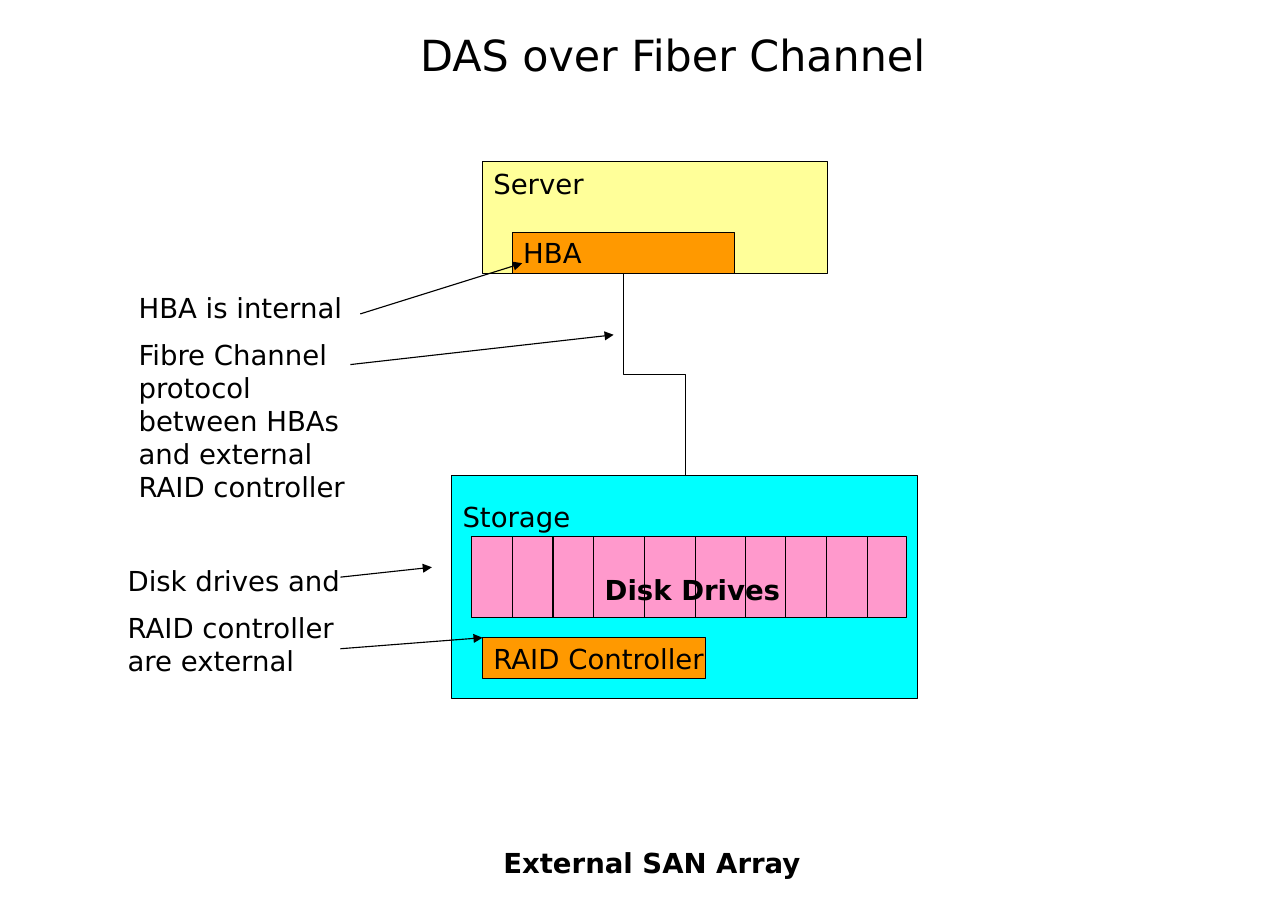
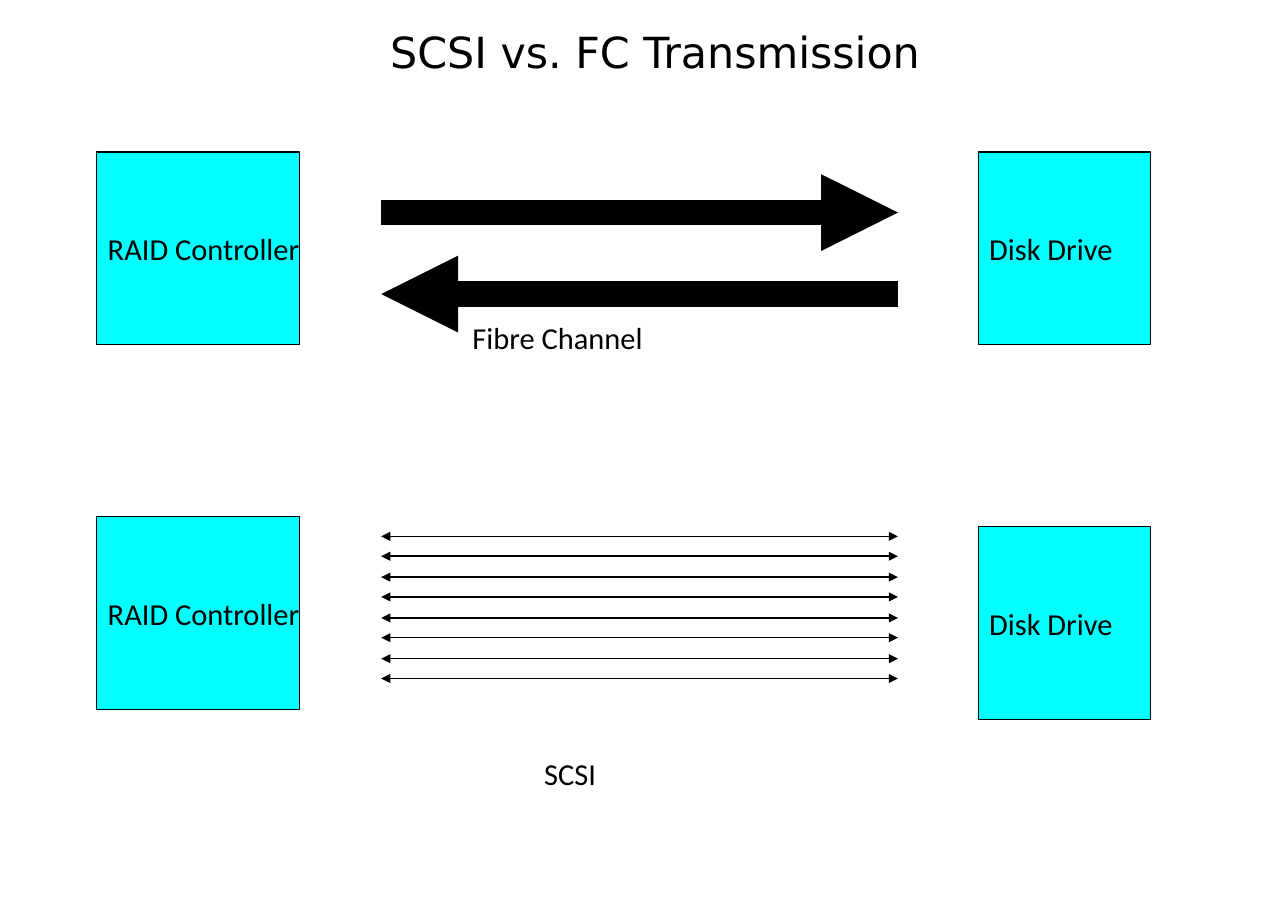
import itertools
from dataclasses import dataclass

import pptx
import pptx.dml.color
import pptx.enum.shapes
import pptx.enum.text
import pptx.oxml.ns
import pptx.util
from lxml import etree


@dataclass(frozen=True)
class Theme:
    ink: str = "000000"
    server: str = "FFFF99"
    controller: str = "FF9900"
    storage: str = "00FFFF"
    disks: str = "FF99CC"
    sans: str = "DejaVu Sans"
    label_font: str = "Calibri"
    title_size: float = 28
    body_size: float = 18
    label_size: float = 19.9
    thin: float = 0.75
    cable: float = 1
    fibre: float = 16.75
    paragraph_gap: float = 9


THEME = Theme()
PX = 9144  # 100 px to the inch
qn = pptx.oxml.ns.qn
Pt = pptx.util.Pt
rgb = pptx.dml.color.RGBColor.from_string
Anchor = pptx.enum.text.MSO_ANCHOR
Connector = pptx.enum.shapes.MSO_CONNECTOR


def add_box(shapes, at, text="", fill=None, size=THEME.body_size, font=THEME.sans,
            bold=False, anchor=None, inset_top=5, title=False):
    """Filled block when a fill is given, otherwise a wrapping text box."""
    place = [v * PX for v in at]
    if fill:
        box = shapes.add_shape(pptx.enum.shapes.MSO_SHAPE.RECTANGLE, *place)
        box.shadow.inherit = False
        box.fill.solid()
        box.fill.fore_color.rgb = rgb(fill)
        box.line.color.rgb = rgb(THEME.ink)
        box.line.width = Pt(THEME.thin)
    else:
        box = shapes.add_textbox(*place)
    if not text:
        return
    frame = box.text_frame
    frame.word_wrap = not fill
    frame.margin_top = inset_top * PX
    frame.vertical_anchor = anchor or (Anchor.MIDDLE if fill or title else Anchor.TOP)
    frame.text = text
    for index, paragraph in enumerate(frame.paragraphs):
        paragraph.alignment = pptx.enum.text.PP_ALIGN.CENTER if title else pptx.enum.text.PP_ALIGN.LEFT
        if title:
            paragraph.line_spacing = 0.9
        if index:
            paragraph.space_before = Pt(THEME.paragraph_gap)
        paragraph.font.size = Pt(size)
        paragraph.font.name = font
        paragraph.font.bold = bold
        paragraph.font.color.rgb = rgb(THEME.ink)


def add_line(shapes, start, end, width=THEME.thin, heads=(), kind=Connector.STRAIGHT):
    """Line with triangles at the named ends (headEnd, tailEnd)."""
    line = shapes.add_connector(kind, *[v * PX for v in (*start, *end)])
    line.line.color.rgb = rgb(THEME.ink)
    line.line.width = Pt(width)
    stroke = line.line._get_or_add_ln()
    for head in heads:
        etree.SubElement(stroke, qn(f"a:{head}")).set("type", "triangle")
    etree.SubElement(line._element.spPr, qn("a:effectLst"))
    return line


deck = pptx.Presentation()
deck.slide_width, deck.slide_height = 1169 * PX, 828 * PX
blank = deck.slide_layouts[6]

# Slide 1: direct-attached storage
das = deck.slides.add_slide(blank).shapes
add_box(das, (106, 4, 1009, 97), "DAS over Fiber Channel", size=THEME.title_size, title=True)

# Server and storage
add_box(das, (438, 147, 313, 101), "Server", THEME.server, anchor=Anchor.TOP)
add_box(das, (465, 211, 202, 37), "HBA", THEME.controller)
add_box(das, (410, 432, 423, 202), "Storage", THEME.storage, anchor=Anchor.TOP, inset_top=22)

# Cable from HBA to storage: an elbow turned on its side so it leaves downwards
(hba_x, hba_y), (storage_x, storage_y) = (566, 248), (622, 432)
drop, shift = storage_y - hba_y, storage_x - hba_x
left = (hba_x + storage_x - drop) // 2
top = (hba_y + storage_y - shift) // 2
cable = add_line(das, (left, top), (left + drop, top + shift), kind=Connector.ELBOW)
turn = cable._element.spPr.find(qn("a:xfrm"))
turn.set("rot", str(270 * 60000))
turn.set("flipH", "1")

# Disk drives
drives = das.add_group_shape().shapes
add_box(drives, (428, 487, 395, 74), fill=THEME.disks)
drive_widths = (37, 37, 37, 46, 46, 46, 36, 37, 37)
for x in itertools.accumulate(drive_widths[1:], initial=428 + drive_widths[0]):
    add_line(drives, (x, 487), (x, 561))
add_box(drives, (539, 515, 180, 40), "Disk Drives", bold=True)
add_box(das, (438, 579, 202, 37), "RAID Controller", THEME.controller)

# Remarks and their pointers
add_box(das, (106, 507, 230, 116), "Disk drives and\nRAID controller are external")
add_box(das, (116, 259, 230, 207),
        "HBA is internal\nFibre Channel protocol between HBAs and external RAID controller")
add_box(das, (447, 763, 304, 40), "External SAN Array", bold=True)
for remark, target in (
    ((327, 285), (474, 239)),
    ((318, 331), (557, 304)),
    ((309, 524), (392, 515)),
    ((309, 589), (438, 579)),
):
    add_line(das, remark, target, heads=("tailEnd",))

# Slide 2: serial and parallel transmission
transmission = deck.slides.add_slide(blank).shapes
add_box(transmission, (90, -4, 1009, 107), "SCSI vs. FC Transmission",
        size=THEME.title_size, title=True)
link_left, link_right = 346, 815

# Fibre Channel: one wide arrow each way
for y, head in ((193, "tailEnd"), (267, "headEnd")):
    add_line(transmission, (link_left, y), (link_right, y), THEME.fibre, (head,))

# Devices at both ends
for controller_y, drive_y in ((138, 138), (469, 478)):
    for name, x, y, width in (("RAID Controller", 88, controller_y, 184),
                              ("Disk Drive", 888, drive_y, 156)):
        add_box(transmission, (x, y, width, 175), name, THEME.storage,
                THEME.label_size, THEME.label_font)

# Link names
for name, at in (("Fibre Channel", (419, 285, 304, 44)), ("SCSI", (484, 681, 221, 44))):
    add_box(transmission, at, name, size=THEME.label_size, font=THEME.label_font)

# SCSI: parallel two-way wires
wires, first_y, last_y = 8, 487, 616
for wire in range(wires):
    y = first_y + round(wire * (last_y - first_y) / (wires - 1))
    add_line(transmission, (link_left, y), (link_right, y), THEME.cable, ("headEnd", "tailEnd"))

deck.save("out.pptx")
